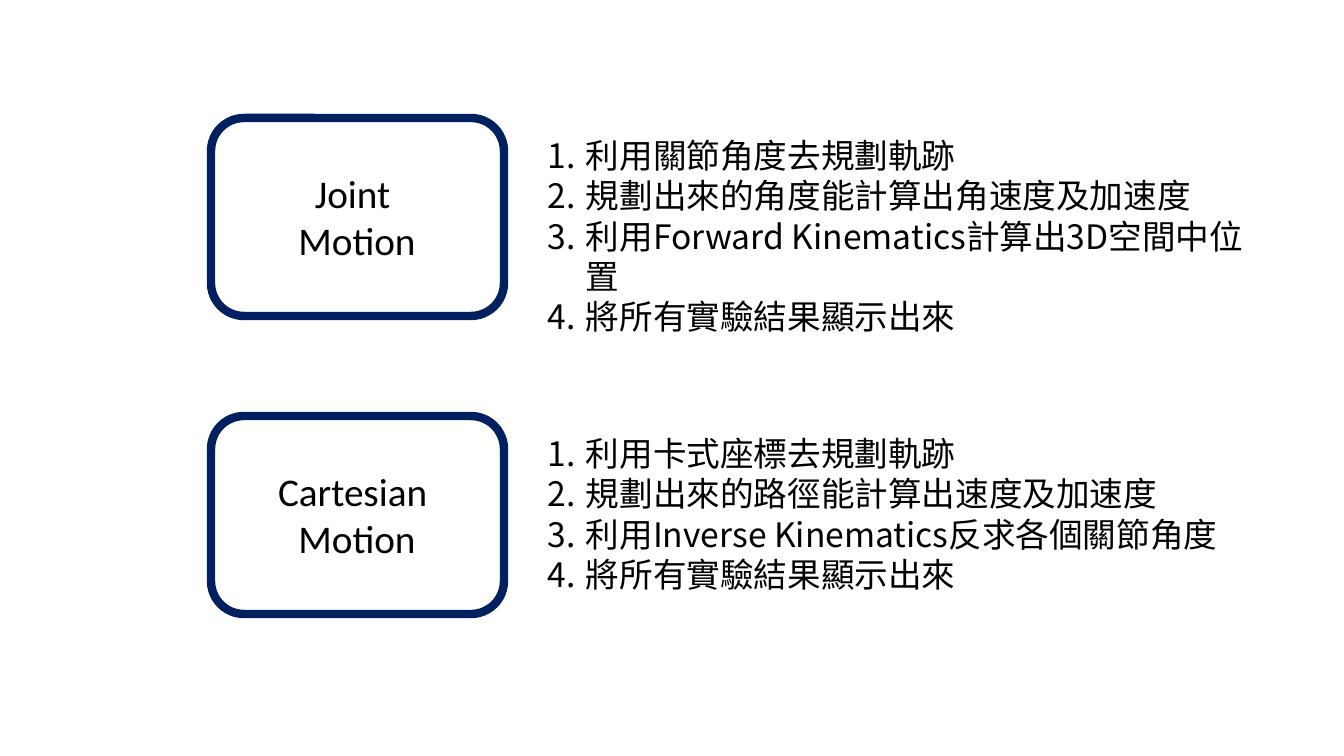
from lxml import etree
from pptx import Presentation
from pptx.dml.color import RGBColor
from pptx.enum import shapes, text
from pptx.oxml import ns
from pptx.util import Pt

EMU_PER_PIXEL = 914400 / 100.8
NAVY = RGBColor(0x00, 0x20, 0x60)
BLACK = RGBColor(0x00, 0x00, 0x00)
LABEL_FONT = {"name": "Calibri", "size": Pt(28)}
LIST_FONT = {"name": "Noto Sans CJK SC", "size": Pt(24)}
LABEL_FORMAT = {"alignment": text.PP_ALIGN.CENTER}
LIST_FORMAT = {"alignment": text.PP_ALIGN.LEFT}
LIST_INDENT = 38
ROW_STEP = 298
LABEL_CENTER = 357

MOTIONS = [
    ("Joint", 139, 737, [
        "利用關節角度去規劃軌跡",
        "規劃出來的角度能計算出角速度及加速度",
        "利用Forward Kinematics計算出3D空間中位置",
        "將所有實驗結果顯示出來",
    ]),
    ("Cartesian", 179, 704, [
        "利用卡式座標去規劃軌跡",
        "規劃出來的路徑能計算出速度及加速度",
        "利用Inverse Kinematics反求各個關節角度",
        "將所有實驗結果顯示出來",
    ]),
]


def px(*lengths):
    """Turn pixel lengths into EMU."""
    return [round(length * EMU_PER_PIXEL) for length in lengths]


def apply(target, values):
    """Set each named attribute on the target."""
    for name, value in values.items():
        setattr(target, name, value)


def add_frame(slide, *box):
    """Add an unfilled rounded rectangle with a thick navy outline."""
    shape = slide.shapes.add_shape(shapes.MSO_SHAPE.ROUNDED_RECTANGLE, *px(*box))
    shape.shadow.inherit = False
    shape.fill.background()
    shape.line.color.rgb = NAVY
    shape.line.width = Pt(6)


def add_text(slide, box, lines, font, paragraph_format, wrap):
    """Add a text box with one paragraph per line and return its paragraphs."""
    frame = slide.shapes.add_textbox(*px(*box)).text_frame
    frame.word_wrap = wrap
    frame.text = "\n".join(lines)
    for paragraph in frame.paragraphs:
        apply(paragraph, paragraph_format)
        for run in paragraph.runs:
            apply(run.font, font)
            run.font.color.rgb = BLACK
            east_asian = etree.SubElement(run.font._element, ns.qn("a:ea"))
            east_asian.set("typeface", font["name"])
    return frame.paragraphs


def number_paragraphs(paragraphs):
    """Give paragraphs automatic numbers and a hanging indent."""
    indent = px(LIST_INDENT)[0]
    for paragraph in paragraphs:
        properties = paragraph._p.get_or_add_pPr()
        properties.set("marL", str(indent))
        properties.set("indent", str(-indent))
        number = etree.SubElement(properties, ns.qn("a:buAutoNum"))
        number.set("type", "arabicPeriod")


def main():
    """Build the slide comparing joint and Cartesian motion."""
    presentation = Presentation()
    presentation.slide_width, presentation.slide_height = px(1344, 756)
    slide = presentation.slides.add_slide(presentation.slide_layouts[6])
    for row, (name, label_width, list_width, steps) in enumerate(MOTIONS):
        top = 118 + row * ROW_STEP
        add_frame(slide, 211, top, 293, 198)
        label_box = (LABEL_CENTER - label_width / 2, top + 46, label_width, 105)
        add_text(slide, label_box, [name + " ", "Motion"],
                 LABEL_FONT, LABEL_FORMAT, False)
        list_box = (538, top + 12, list_width, 173)
        number_paragraphs(
            add_text(slide, list_box, steps, LIST_FONT, LIST_FORMAT, True))
    presentation.save("out.pptx")


main()
